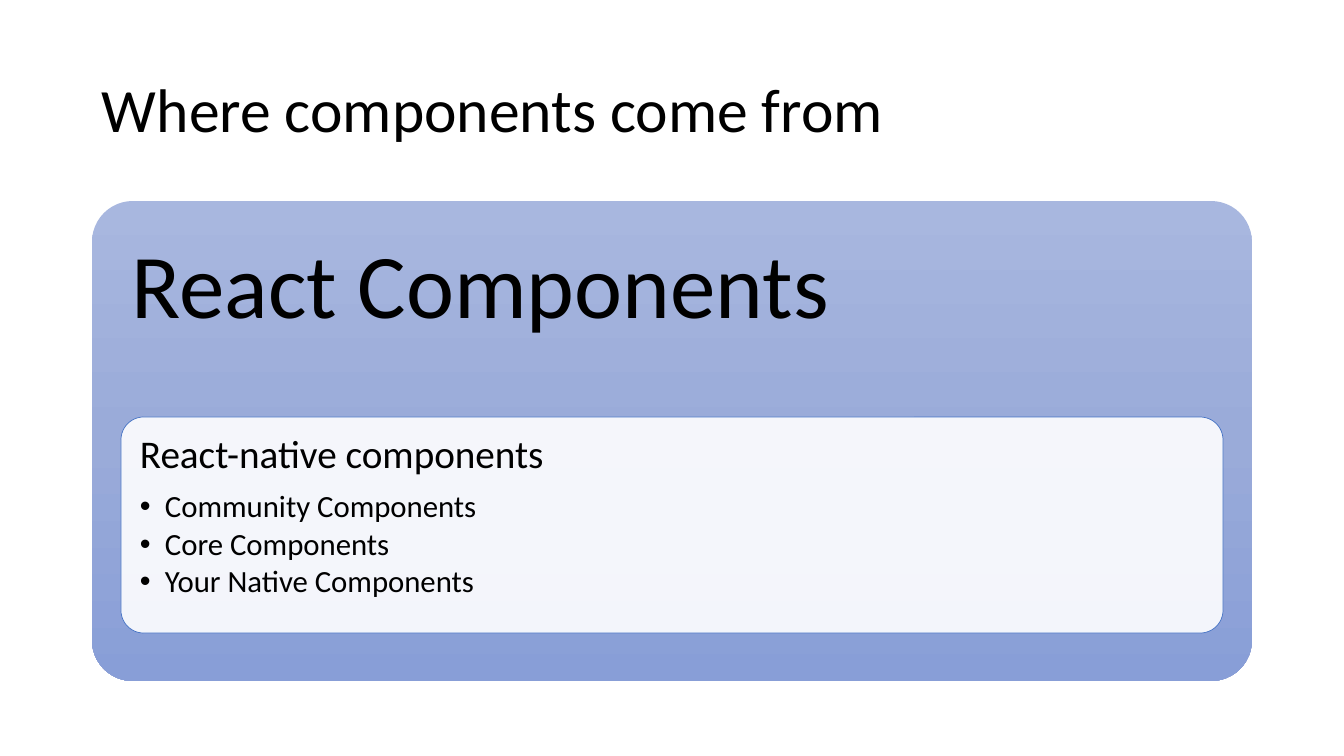
from dataclasses import dataclass
from copy import deepcopy
from lxml.etree import SubElement
from pptx import Presentation
from pptx.dml.color import RGBColor as Color
from pptx.enum.shapes import MSO_SHAPE as Shape
from pptx.enum.text import MSO_ANCHOR as Anchor, MSO_AUTO_SIZE as AutoSize, PP_ALIGN as Align
from pptx.oxml.ns import qn
from pptx.util import Pt

EMU_PER_PIXEL = 914400 / 100.8


@dataclass(frozen=True)
class Theme:
    font: str = "Calibri"
    ink: str = "000000"
    panel: tuple = ("A8B7DF", "9AABD9", "889ED7")
    card: str = "FFFFFF"
    card_opacity: int = 90
    outline: str = "4472C4"
    title: int = 44
    banner: int = 65
    heading: int = 28
    item: int = 22


THEME = Theme()


def px(value):
    return round(value * EMU_PER_PIXEL)


def place(box, bounds):
    box.left, box.top, box.width, box.height = map(px, bounds)


def set_frame(box, insets, anchor=Anchor.TOP):
    frame = box.text_frame
    frame.word_wrap = True
    frame.auto_size = AutoSize.NONE
    frame.vertical_anchor = anchor
    frame.margin_left, frame.margin_top, frame.margin_right, frame.margin_bottom = map(px, insets)
    return frame


def write(para, text, *, size, after=0, level=0, indent=0, bullet=None):
    para.alignment = Align.LEFT
    para.level = level
    para.line_spacing = 0.9
    para.space_before = Pt(0)
    para.space_after = Pt(after)
    properties = para._p.get_or_add_pPr()
    properties.set("marL", str(px(indent)))
    properties.set("indent", str(-px(indent)))
    if bullet:
        SubElement(properties, qn("a:buFont"), typeface="Arial")
        SubElement(properties, qn("a:buChar"), char=bullet)
    else:
        SubElement(properties, qn("a:buNone"))
    span = para.add_run()
    span.text = text
    span.font.name = THEME.font
    span.font.size = Pt(size)
    span.font.color.rgb = Color.from_string(THEME.ink)


def add_rounded(page, bounds, radius):
    box = page.shapes.add_shape(Shape.ROUNDED_RECTANGLE, *map(px, bounds))
    box.adjustments[0] = radius
    box.shadow.inherit = False
    return box


def add_panel(page, bounds):
    panel = add_rounded(page, bounds, 0.085)
    panel.line.fill.background()
    panel.fill.gradient()
    panel.fill.gradient_angle = 270
    first = panel._element.spPr.find(".//" + qn("a:gs"))
    middle = deepcopy(first)
    middle.set("pos", "50000")
    first.addnext(middle)
    for stop, color in zip(panel.fill.gradient_stops, THEME.panel):
        stop.color.rgb = Color.from_string(color)


def add_card(page, bounds):
    card = add_rounded(page, bounds, 0.105)
    card.fill.solid()
    card.fill.fore_color.rgb = Color.from_string(THEME.card)
    color = card._element.spPr.find(qn("a:solidFill") + "/" + qn("a:srgbClr"))
    SubElement(color, qn("a:alpha"), val=str(THEME.card_opacity * 1000))
    card.line.color.rgb = Color.from_string(THEME.outline)
    card.line.width = Pt(0.5)


def add_banner(page, text, bounds):
    box = page.shapes.add_textbox(*map(px, bounds))
    frame = set_frame(box, (27, 27, 27, 296))
    write(frame.paragraphs[0], text, size=THEME.banner)


def fill_title(title, text, bounds):
    place(title, bounds)
    frame = set_frame(title, (10, 5, 10, 5), Anchor.MIDDLE)
    write(frame.paragraphs[0], text, size=THEME.title)


def fill_list(body, heading, items, bounds):
    place(body, bounds)
    frame = set_frame(body, (12, 12, 12, 12))
    write(frame.paragraphs[0], heading, size=THEME.heading, after=10)
    for item in items:
        write(frame.add_paragraph(), item, size=THEME.item, after=3,
              level=1, indent=25, bullet="•")


def main():
    deck = Presentation()
    deck.slide_width, deck.slide_height = px(1344), px(756)
    page = deck.slides.add_slide(deck.slide_layouts[1])
    title, body = page.placeholders
    fill_title(title, "Where components come from", (92, 40, 1160, 146))
    add_panel(page, (92, 201, 1160, 480))
    add_banner(page, "React Components", (105, 213, 1135, 456))
    add_card(page, (121, 417, 1102, 216))
    fill_list(body, "React-native components",
              ("Community Components", "Core Components", "Your Native Components"),
              (128, 423, 1088, 203))
    page.shapes._spTree.append(body._element)
    deck.save("out.pptx")


main()
